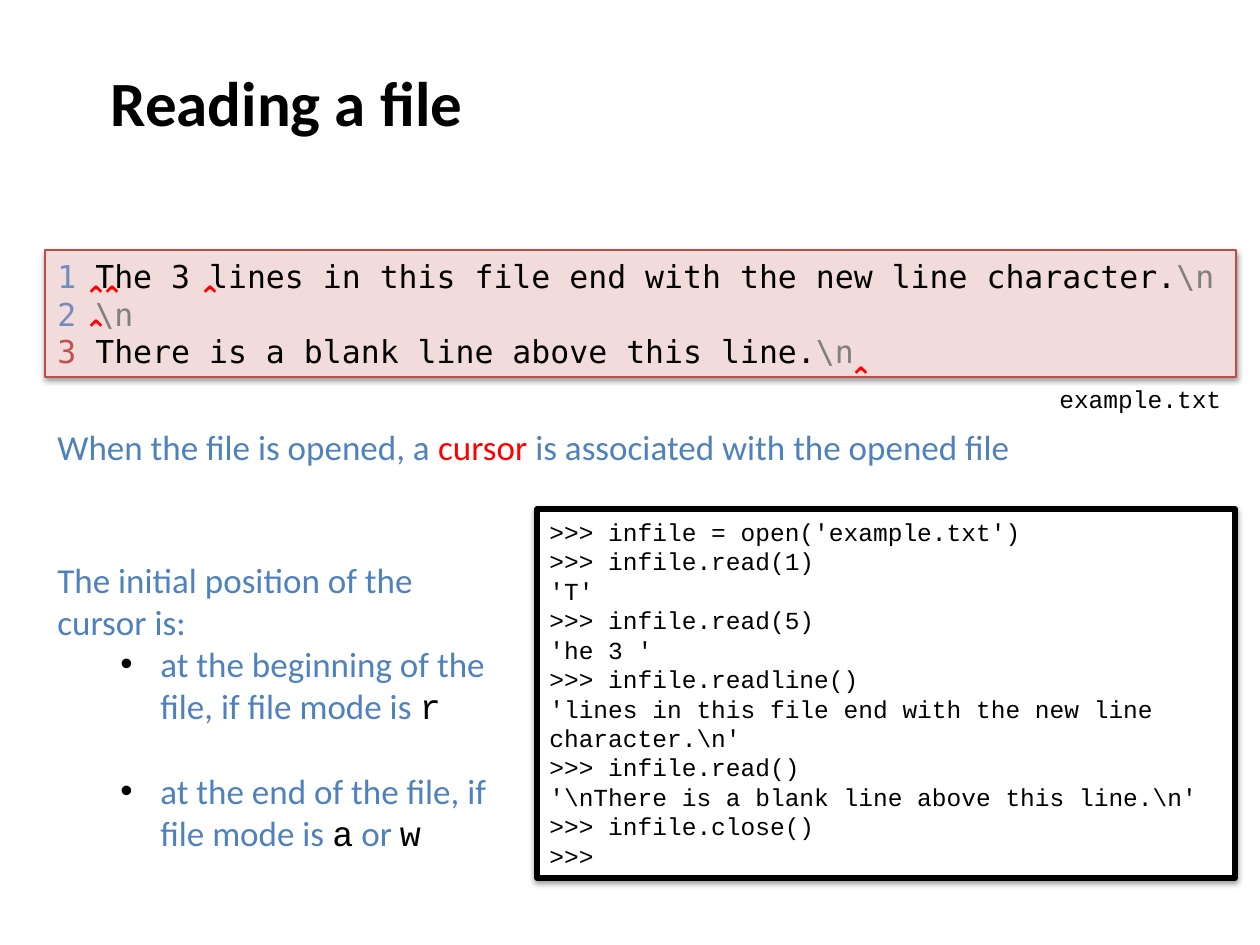
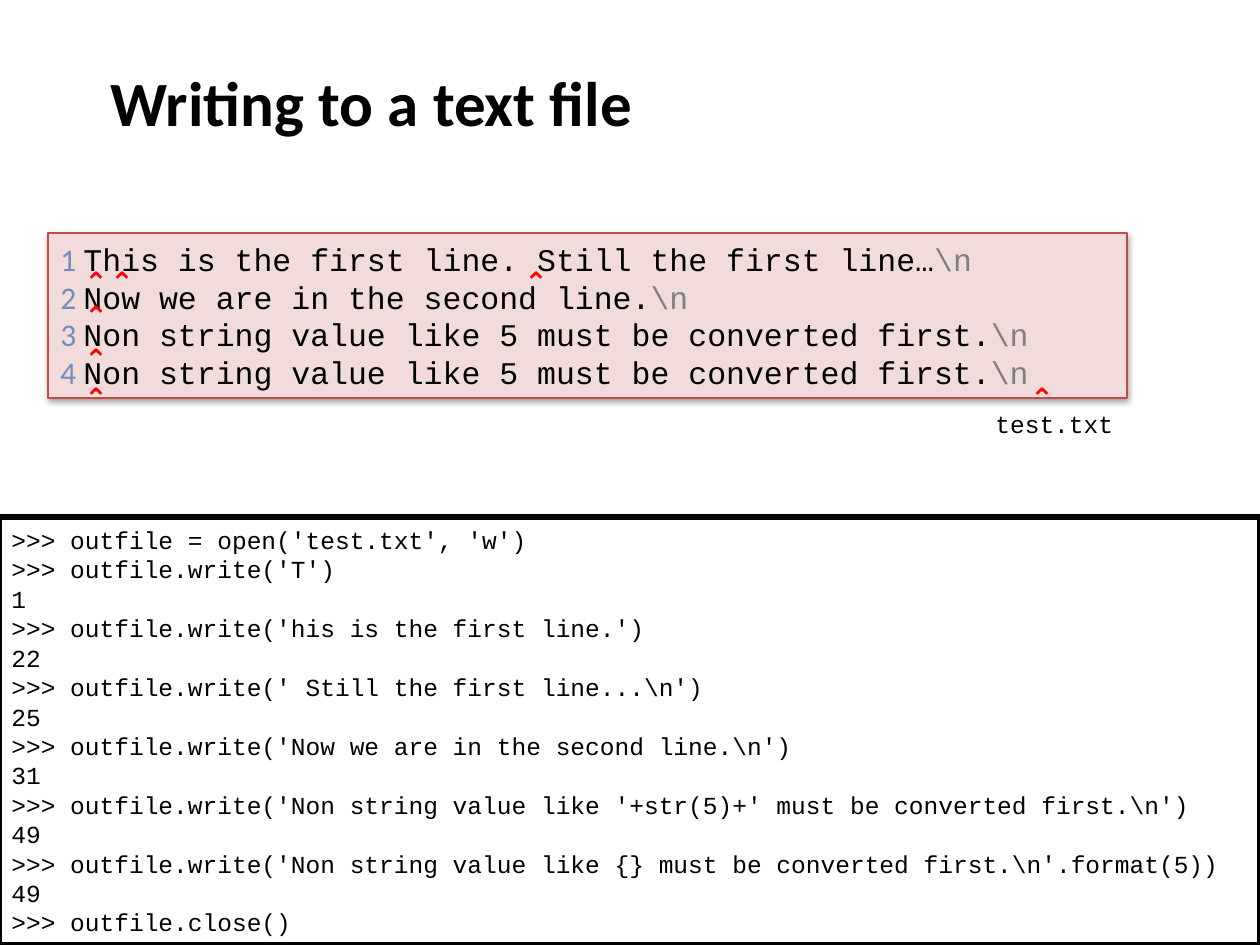
from lxml import etree
from pptx import Presentation
from pptx.dml.color import RGBColor
from pptx.enum.shapes import MSO_SHAPE as Shape
from pptx.enum.text import MSO_ANCHOR as Anchor, PP_ALIGN as Align
from pptx.oxml import parse_xml
from pptx.oxml.ns import nsdecls, qn
from pptx.util import Emu, Pt

PX_PER_INCH = 126
BLACK, WHITE, RED, BLUE, GRAY = "000000", "FFFFFF", "FF0000", "4F81BD", "808080"
NUMBER_BLUE, NUMBER_RED = "748CBC", "C0504D"
PINK, PINK_EDGE = "F2DCDB", "BF4C48"
SANS, CODE, MONO, SYMBOL = "Calibri", "Courier New", "DejaVu Sans Mono", "Noto Sans"
TITLE_BOX = (98, 0, 1071, 203)
CARET_SIZE = (52, 47)
NEWLINE = r"\n"

READING_LINES = [
    ("1", " The 3 lines in this file end with the new line character.", NUMBER_BLUE),
    ("2 ", "", NUMBER_BLUE),
    ("3", " There is a blank line above this line.", NUMBER_RED),
]
READING_CARETS = [(72, 272), (88, 272), (186, 272), (72, 306), (837, 353)]
READING_CODE = r"""
>>> infile = open('example.txt')
>>> infile.read(1)
'T'
>>> infile.read(5)
'he 3 '
>>> infile.readline()
'lines in this file end with the new line character.\n'
>>> infile.read()
'\nThere is a blank line above this line.\n'
>>> infile.close()
>>>
"""
CONVERTED = "Non string value like 5 must be converted first."
WRITING_LINES = [
    ("1 ", "This is the first line. Still the first line…", NUMBER_BLUE),
    ("2 ", "Now we are in the second line.", NUMBER_BLUE),
    ("3 ", CONVERTED, NUMBER_BLUE),
    ("4 ", CONVERTED, NUMBER_BLUE),
]
WRITING_CARETS = [(72, 258), (98, 258), (512, 258), (72, 292),
                  (72, 335), (72, 374), (1018, 374)]
WRITING_CODE = r"""
>>> outfile = open('test.txt', 'w')
>>> outfile.write('T')
1
>>> outfile.write('his is the first line.')
22
>>> outfile.write(' Still the first line...\n')
25
>>> outfile.write('Now we are in the second line.\n')
31
>>> outfile.write('Non string value like '+str(5)+' must be converted first.\n')
49
>>> outfile.write('Non string value like {} must be converted first.\n'.format(5))
49
>>> outfile.close()
"""


def px(length):
    """Turn whole pixels into EMU."""
    return Emu(round(length * 914400 / PX_PER_INCH))


def rgb(value):
    """Turn a hex string into a colour."""
    return RGBColor.from_string(value)


def add_span(para, text, size=20, font=SANS, color=BLACK, bold=False):
    """Append formatted text to a paragraph."""
    span = para.add_run()
    span.text = text
    span.font.size, span.font.name, span.font.bold = Pt(size), font, bold
    span.font.color.rgb = rgb(color)


def next_para(frame, first):
    """Give the frame's first paragraph, or a new one, aligned left."""
    para = frame.paragraphs[0] if first else frame.add_paragraph()
    para.alignment = Align.LEFT
    return para


def add_text_box(page, box, wrap=True):
    """Add an empty text box and return its frame."""
    frame = page.shapes.add_textbox(*map(px, box)).text_frame
    frame.word_wrap, frame.vertical_anchor = wrap, Anchor.MIDDLE
    return frame


def add_panel(page, box, fill, edge, weight):
    """Add a shadowed rectangle and return its frame."""
    panel = page.shapes.add_shape(Shape.RECTANGLE, *map(px, box))
    panel.shadow.inherit = False
    panel.fill.solid()
    panel.fill.fore_color.rgb = rgb(fill)
    panel.line.color.rgb = rgb(edge)
    panel.line.width = Pt(weight)
    effects = panel.element.spPr.find(qn("a:effectLst"))
    effects.append(parse_xml(
        f'<a:outerShdw {nsdecls("a")} blurRad="40000" dist="20000" dir="5400000" '
        'rotWithShape="0"><a:srgbClr val="000000"><a:alpha val="38000"/>'
        '</a:srgbClr></a:outerShdw>'))
    panel.text_frame.word_wrap = True
    panel.text_frame.vertical_anchor = Anchor.MIDDLE
    return panel.text_frame


def add_page(deck, title):
    """Add a title-only slide with the shared title style."""
    page = deck.slides.add_slide(deck.slide_layouts[5])
    heading = page.shapes.title
    heading.left, heading.top, heading.width, heading.height = map(px, TITLE_BOX)
    heading.text_frame.vertical_anchor = Anchor.MIDDLE
    add_span(next_para(heading.text_frame, True), title, size=36, bold=True)
    return page


def add_file_view(page, box, lines, carets, number_font, line_font):
    """Show numbered file lines with the cursor positions."""
    frame = add_panel(page, box, PINK, PINK_EDGE, 0.75)
    for index, (number, text, color) in enumerate(lines):
        para = next_para(frame, index == 0)
        add_span(para, number, size=18, font=number_font, color=color)
        if text:
            add_span(para, text, size=18, font=line_font)
        add_span(para, NEWLINE, size=18, font=line_font, color=GRAY)
    for position in carets:
        caret = add_text_box(page, position + CARET_SIZE)
        add_span(next_para(caret, True), "⌃", size=16, font=SYMBOL, color=RED, bold=True)


def add_file_name(page, box, name):
    """Name the file below its view."""
    frame = add_text_box(page, box, wrap=False)
    add_span(next_para(frame, True), name, size=14, font=CODE)


def add_session(page, box, code):
    """Show an interpreter session in a framed box."""
    frame = add_panel(page, box, WHITE, BLACK, 3)
    for index, line in enumerate(code.strip().splitlines()):
        add_span(next_para(frame, index == 0), line, size=14, font=CODE)


def add_bullet(para):
    """Indent a paragraph and give it a black bullet."""
    properties = para._p.get_or_add_pPr()
    properties.set("marL", str(px(103)))
    properties.set("indent", str(-px(40)))
    color = etree.SubElement(properties, qn("a:buClr"))
    etree.SubElement(color, qn("a:srgbClr"), val=BLACK)
    etree.SubElement(properties, qn("a:buFont"), typeface="Arial")
    etree.SubElement(properties, qn("a:buChar"), char="•")


def add_cursor_rules(page, box):
    """Explain where the cursor starts in each file mode."""
    frame = add_text_box(page, box)
    add_span(next_para(frame, True), "The initial position of the cursor is:", color=BLUE)
    rules = [
        ("at the beginning of the file, if file mode is ", ["r"], 0),
        ("at the end of the file, if file mode is ", ["a", "w"], 24),
    ]
    for text, modes, gap in rules:
        para = next_para(frame, False)
        para.space_before = Pt(gap)
        add_bullet(para)
        add_span(para, text, color=BLUE)
        for index, mode in enumerate(modes):
            if index:
                add_span(para, " or ", color=BLUE)
            add_span(para, mode, font=CODE)


def add_cursor_note(page, box):
    """Introduce the cursor in one sentence."""
    para = next_para(add_text_box(page, box), True)
    add_span(para, "When the file is opened, a ", color=BLUE)
    add_span(para, "cursor ", color=RED)
    add_span(para, "is associated with the opened file", color=BLUE)


def build_reading(deck):
    """Build the slide on reading a file."""
    page = add_page(deck, "Reading a file")
    add_file_view(page, (45, 250, 1191, 127), READING_LINES, READING_CARETS, MONO, MONO)
    add_session(page, (537, 509, 698, 369), READING_CODE)
    add_file_name(page, (1047, 377, 189, 43), "example.txt")
    add_cursor_note(page, (45, 419, 1191, 55))
    add_cursor_rules(page, (45, 551, 457, 310))


def build_writing(deck):
    """Build the slide on writing to a text file."""
    page = add_page(deck, "Writing to a text file")
    add_file_view(page, (48, 233, 1079, 165), WRITING_LINES, WRITING_CARETS, SANS, CODE)
    add_file_name(page, (983, 402, 144, 43), "test.txt")
    add_session(page, (-1, 517, 1261, 428), WRITING_CODE)


def main():
    """Build and save the deck."""
    deck = Presentation()
    deck.slide_width, deck.slide_height = px(1260), px(945)
    build_reading(deck)
    build_writing(deck)
    deck.save("out.pptx")


if __name__ == "__main__":
    main()
